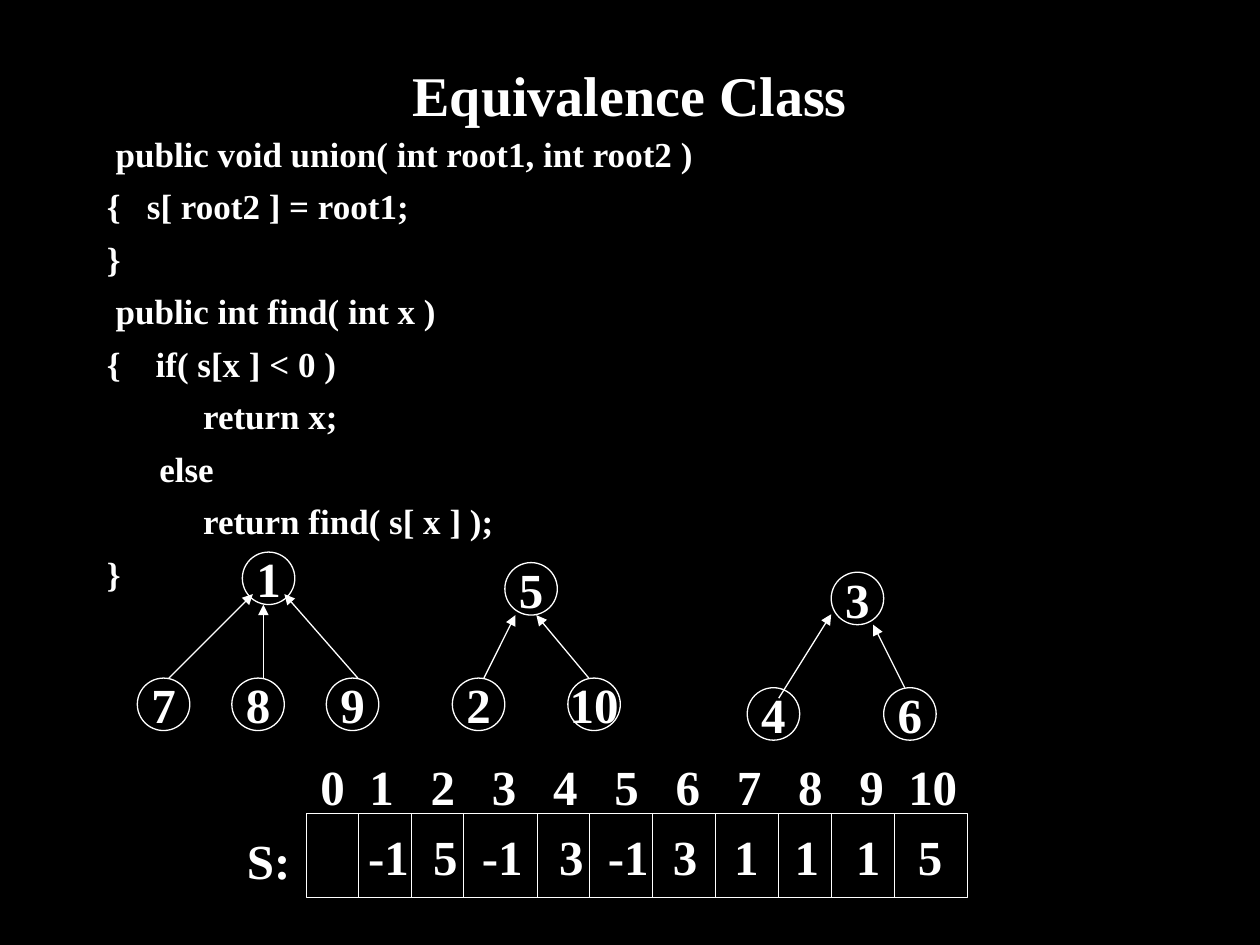
from itertools import accumulate

from lxml import etree
from pptx import Presentation
from pptx.dml.color import RGBColor
from pptx.enum.shapes import MSO_CONNECTOR, MSO_SHAPE
from pptx.enum.text import MSO_ANCHOR, PP_ALIGN
from pptx.oxml.ns import qn
from pptx.util import Pt

BLACK = RGBColor(0x00, 0x00, 0x00)
WHITE = RGBColor(0xFF, 0xFF, 0xFF)
FONT = "Times New Roman"
LEFT, CENTER = PP_ALIGN.LEFT, PP_ALIGN.CENTER
TOP, MIDDLE = MSO_ANCHOR.TOP, MSO_ANCHOR.MIDDLE
OVAL, RECTANGLE = MSO_SHAPE.OVAL, MSO_SHAPE.RECTANGLE
STRAIGHT = MSO_CONNECTOR.STRAIGHT
NODE_SIZE = 30
LINE_WIDTH = 0.75

CODE = [
    " public void union( int root1, int root2 )",
    "{   s[ root2 ] = root1;",
    "}",
    " public int find( int x )",
    "{    if( s[x ] < 0 )",
    "           return x;",
    "      else",
    "           return find( s[ x ] );",
    "}",
]

TREES = [
    ((78.5, 315.5), ("1", 60), 72, [("7", 0), ("8", 54), ("9", 108)],
     [((18, 72), (66, 24)), ((72, 72), (72, 30)), ((126, 72), (84, 24))]),
    ((258.5, 321.5), ("5", 30), 66, [("2", 0), ("10", 66)],
     [((18, 66), (36, 30)), ((78, 66), (48, 30))]),
    ((427, 327), ("3", 48), 66, [("4", 0), ("6", 78)],
     [((18, 72), (48, 24)), ((90, 66), (72, 30))]),
]

CELL_WIDTHS = [30, 30, 30, 42, 30, 36, 36, 36, 30, 36, 42]
INDEX_CENTERS = [15] + [43 + 35 * step for step in range(10)]
VALUES = ["-1", "5", "-1", "3", "-1", "3", "1", "1", "1", "5"]
VALUE_CENTERS = [47, 79.5, 112, 151.5, 184, 216.5, 251.5, 286, 321, 356.5]


def style_paragraph(para, size, align=LEFT):
    """Format every run of a paragraph in bold white."""
    para.alignment = align
    for span in para.runs:
        span.font.name = FONT
        span.font.size = Pt(size)
        span.font.bold = True
        span.font.color.rgb = WHITE


def add_text(page, box, lines, size, align=LEFT, anchor=TOP, inset=7.2):
    """Add a text box and return its paragraphs."""
    frame = page.shapes.add_textbox(*map(Pt, box)).text_frame
    frame.word_wrap = True
    frame.vertical_anchor = anchor
    frame.margin_left = frame.margin_right = Pt(inset)
    frame.text = "\n".join(lines)
    for para in frame.paragraphs:
        style_paragraph(para, size, align)
    return frame.paragraphs


def add_outline(page, kind, box, text, align, wrap, inset):
    """Add an unfilled white outline with text and return its paragraph."""
    shape = page.shapes.add_shape(kind, *map(Pt, box))
    shape.shadow.inherit = False
    shape.fill.background()
    shape.line.color.rgb = WHITE
    shape.line.width = Pt(LINE_WIDTH)
    frame = shape.text_frame
    frame.word_wrap = wrap
    frame.vertical_anchor = MIDDLE
    frame.margin_left = frame.margin_right = Pt(inset)
    para = frame.paragraphs[0]
    para.text = text
    style_paragraph(para, 28, align)
    return para


def add_line(page, start, end, arrow=False):
    """Add a thin white line, with an arrowhead at its end if asked."""
    line = page.shapes.add_connector(STRAIGHT, *map(Pt, (*start, *end)))
    line.line.color.rgb = WHITE
    line.line.width = Pt(LINE_WIDTH)
    if arrow:
        etree.SubElement(line.line._get_or_add_ln(), qn("a:tailEnd"), type="triangle")
    etree.SubElement(line._element.spPr, qn("a:effectLst"))


def set_center_tabs(para, centers):
    """Give a paragraph one centred tab stop for each position."""
    properties = para._p.get_or_add_pPr()
    tabs = etree.SubElement(properties, qn("a:tabLst"))
    for center in centers:
        etree.SubElement(tabs, qn("a:tab"), pos=str(Pt(center)), algn="ctr")


def tabbed(entries):
    """Put a tab in front of each entry."""
    return "".join(f"\t{entry}" for entry in entries)


def add_code(page, box):
    """Add the code listing with hanging indents."""
    for number, para in enumerate(add_text(page, box, CODE, 20)):
        properties = para._p.get_or_add_pPr()
        properties.set("marL", str(Pt(27)))
        properties.set("indent", str(Pt(-27)))
        if number:
            para.space_before = Pt(6)


def add_tree(page, origin, root, child_top, children, arrows):
    """Add a tree whose arrows point from the children to the root."""
    left, top = origin
    nodes = [(*root, 0)] + [(label, x, child_top) for label, x in children]
    for label, x, y in nodes:
        box = (left + x, top + y, NODE_SIZE, NODE_SIZE)
        add_outline(page, OVAL, box, label, CENTER, False, 7.2)
    for start, end in arrows:
        points = [(left + x, top + y) for x, y in (start, end)]
        add_line(page, *points, arrow=True)


def add_array(page, box):
    """Add the array with its name on the left and indices above."""
    left, top, width, height = box
    para = add_outline(page, RECTANGLE, box, tabbed(VALUES), LEFT, True, 0)
    set_center_tabs(para, VALUE_CENTERS)
    for offset in accumulate(CELL_WIDTHS[:-1]):
        add_line(page, (left + offset, top), (left + offset, top + height))
    add_text(page, (left - 41, top + 6, 41, 41), ["S:"], 28)
    indices = add_text(page, (left, top - 36, width + 20, 41),
                       [tabbed(range(11))], 28, inset=0)
    set_center_tabs(indices[0], INDEX_CENTERS)


def main():
    """Build and save the slide."""
    deck = Presentation()
    deck.slide_width, deck.slide_height = Pt(720), Pt(540)
    page = deck.slides.add_slide(deck.slide_layouts[6])
    page.background.fill.solid()
    page.background.fill.fore_color.rgb = BLACK
    add_text(page, (54, 24, 612, 60), ["Equivalence Class"], 32, CENTER, MIDDLE)
    add_code(page, (54, 72, 612, 266))
    add_array(page, (175, 465, 378, 48))
    for tree in TREES:
        add_tree(page, *tree)
    deck.save("out.pptx")


if __name__ == "__main__":
    main()
